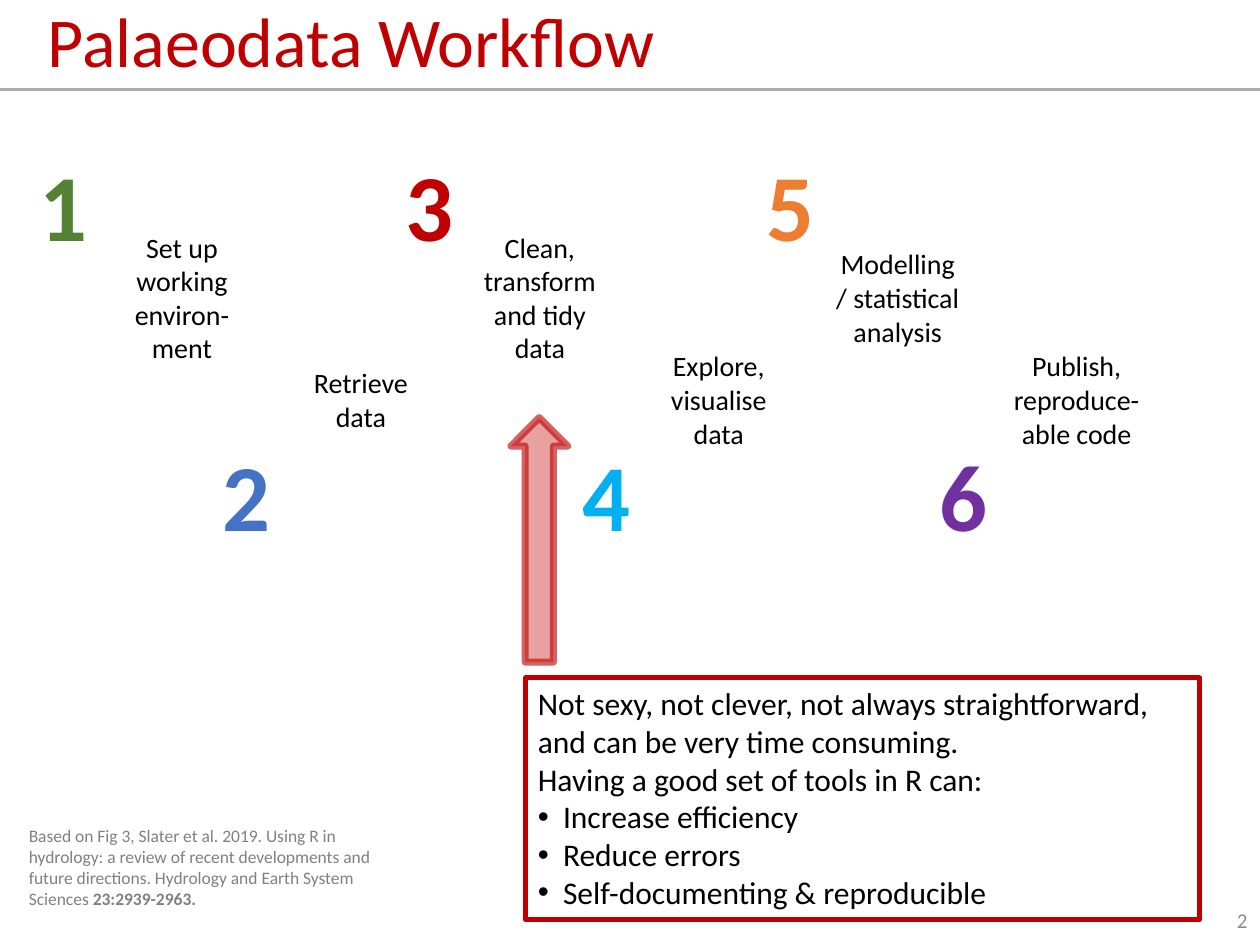
from dataclasses import dataclass
from typing import Any, NamedTuple

from lxml.etree import SubElement
from pptx import Presentation
from pptx.dml.color import RGBColor
from pptx.enum.shapes import MSO_CONNECTOR, MSO_SHAPE
from pptx.enum.text import MSO_ANCHOR as ANCHOR
from pptx.enum.text import MSO_AUTO_SIZE as AUTO
from pptx.enum.text import PP_ALIGN as ALIGN
from pptx.oxml.ns import qn
from pptx.util import Inches, Pt

SLIDE_W, SLIDE_H = Inches(10), Inches(7.5)
RED, BLACK, WHITE, GREY = "C00000", "000000", "FFFFFF", "808080"
HEX_LEFT, HEX_PITCH = 6.8, 14.2
HEX_TOPS, NUMBER_TOPS = (22.4, 33.2), (14.93, 45.6)


class Box(NamedTuple):
    """Left, top, width and height in percent of the slide."""
    left: float
    top: float
    width: float
    height: float

    def emu(self) -> list[int]:
        """Return the box in slide units."""
        return [round(v * side / 100) for v, side in zip(self, (SLIDE_W, SLIDE_H) * 2)]


@dataclass
class Step:
    """One workflow step: its label, number colour and number position."""
    label: str
    color: str
    number_left: float


@dataclass
class Para:
    """A paragraph of (text, bold) runs, bulleted or not."""
    runs: list[tuple[str, bool]]
    bullet: bool = False


STEPS = [
    Step("Set up working environ-ment", "548235", 2.1),
    Step("Retrieve data", "4472C4", 16.6),
    Step("Clean, transform and tidy data", RED, 31.1),
    Step("Explore, visualise data", "00B0F0", 45.2),
    Step("Modelling / statistical analysis", "ED7D31", 59.8),
    Step("Publish, reproduce-able code", "7030A0", 73.5),
]
CITATION = Para([
    ("Based on Fig 3, Slater et al. 2019. Using R in hydrology: a review of recent "
     "developments and future directions. Hydrology and Earth System Sciences ", False),
    ("23:2939-2963.", True),
])
MESSAGE = [
    Para([("Not sexy, not clever, not always straightforward, "
           "and can be very time consuming.", False)]),
    Para([("Having a good set of tools in R can:", False)]),
] + [Para([(text, False)], bullet=True) for text in
     ("Increase efficiency", "Reduce errors", "Self-documenting & reproducible")]


def rgb(value: str) -> RGBColor:
    """Turn a hex string into a colour."""
    return RGBColor.from_string(value)


def set_all(target: Any, values: dict[str, Any]) -> None:
    """Set every named attribute on the target."""
    for name, value in values.items():
        setattr(target, name, value)


def set_alpha(fill: Any, percent: int) -> None:
    """Make a solid fill partly transparent."""
    color = next(fill.iter(qn("a:srgbClr")))
    SubElement(color, qn("a:alpha"), val=str(percent * 1000))


def add_bullet(p: Any) -> None:
    """Give the paragraph a hanging bullet."""
    pPr = p._p.get_or_add_pPr()
    set_indent = {"marL": Inches(0.2), "indent": -Inches(0.2)}
    for name, value in set_indent.items():
        pPr.set(name, str(value))
    SubElement(pPr, qn("a:buFont"), typeface="Arial")
    SubElement(pPr, qn("a:buChar"), char="•")


def write(s: Any, paras: list[Para], size: float, color: str,
          align: ALIGN = ALIGN.LEFT, **frame: Any) -> None:
    """Fill a shape with formatted paragraphs."""
    tf = s.text_frame
    set_all(tf, {"word_wrap": True, "vertical_anchor": ANCHOR.TOP} | frame)
    for i, para in enumerate(paras):
        p = tf.paragraphs[0] if i == 0 else tf.add_paragraph()
        p.alignment = align
        if para.bullet:
            add_bullet(p)
        for text, bold in para.runs:
            r = p.add_run()
            r.text = text
            set_all(r.font, {"name": "Calibri", "size": Pt(size), "bold": bold})
            r.font.color.rgb = rgb(color)


def add_text(sp: Any, box: Box, paras: list[Para], size: float, color: str, **options: Any) -> Any:
    """Add a text box and return it."""
    s = sp.add_textbox(*box.emu())
    write(s, paras, size, color, **options)
    return s


def add_outlined(sp: Any, kind: MSO_SHAPE, box: Box, color: str, width: float) -> Any:
    """Add an unfilled preset shape with a coloured line."""
    s = sp.add_shape(kind, *box.emu())
    s.shadow.inherit = False
    s.fill.background()
    s.line.color.rgb = rgb(color)
    s.line.width = Pt(width)
    return s


def add_hexagon(sp: Any, column: int, step: Step) -> None:
    """Add a step's label in its hexagon."""
    box = Box(HEX_LEFT + HEX_PITCH * column, HEX_TOPS[column % 2], 15.3, 18.13)
    s = add_outlined(sp, MSO_SHAPE.HEXAGON, box, WHITE, 16.5)
    s.adjustments[0] = 0.29
    margins = {f"margin_{side}": 0 for side in ("left", "top", "right", "bottom")}
    write(s, [Para([(step.label, False)])], 16, BLACK, ALIGN.CENTER,
          vertical_anchor=ANCHOR.MIDDLE, **margins)


def add_number(sp: Any, column: int, step: Step) -> None:
    """Add a step's large outlined number."""
    box = Box(step.number_left, NUMBER_TOPS[column % 2], 5.9, 13.47)
    s = add_text(sp, box, [Para([(str(column + 1), True)])], 54, step.color,
                 align=ALIGN.CENTER, word_wrap=False, auto_size=AUTO.SHAPE_TO_FIT_TEXT)
    rPr = s.text_frame.paragraphs[0].runs[0].font._element
    set_alpha(rPr, 32)
    ln = SubElement(rPr, qn("a:ln"), w=str(Pt(1.75)))
    SubElement(SubElement(ln, qn("a:solidFill")), qn("a:srgbClr"), val=step.color)
    rPr.insert(0, ln)


def add_rule(sp: Any) -> None:
    """Add the line under the title."""
    y = round(SLIDE_H * 0.0947)
    s = sp.add_connector(MSO_CONNECTOR.STRAIGHT, 0, y, SLIDE_W, y)
    s.line.color.rgb = rgb("AFABAB")
    s.line.width = Pt(2)
    SubElement(s._element.spPr, qn("a:effectLst"))


def add_arrow(sp: Any) -> None:
    """Add the translucent arrow pointing up at step three."""
    s = add_outlined(sp, MSO_SHAPE.RIGHT_ARROW, Box(33.1, 54.13, 19.4, 6), RED, 4)
    s.rotation = 270
    set_alpha(s.line._ln, 62)
    s.fill.solid()
    s.fill.fore_color.rgb = rgb(RED)
    set_alpha(s._element.spPr.find(qn("a:solidFill")), 37)


def main() -> None:
    """Build the workflow slide."""
    prs = Presentation()
    set_all(prs, {"slide_width": SLIDE_W, "slide_height": SLIDE_H})
    sp = prs.slides.add_slide(prs.slide_layouts[6]).shapes

    add_rule(sp)
    title = add_text(sp, Box(2.8, 0, 97.2, 9.47), [Para([("Palaeodata Workflow", False)])],
                     40, RED, vertical_anchor=ANCHOR.MIDDLE)
    title.text_frame.paragraphs[0].line_spacing = 0.9
    for draw in (add_hexagon, add_number):
        for column, step in enumerate(STEPS):
            draw(sp, column, step)

    add_text(sp, Box(1.3, 86.67, 30.1, 10.27), [CITATION], 10, GREY,
             auto_size=AUTO.SHAPE_TO_FIT_TEXT)
    message = add_outlined(sp, MSO_SHAPE.RECTANGLE, Box(41.7, 71.73, 53.5, 25.6), RED, 2.75)
    write(message, MESSAGE, 18, BLACK, auto_size=AUTO.SHAPE_TO_FIT_TEXT)
    add_arrow(sp)
    add_text(sp, Box(77.5, 94.67, 22.5, 5.33), [Para([("2", False)])], 12, "8C8C8C",
             align=ALIGN.RIGHT, vertical_anchor=ANCHOR.MIDDLE)
    prs.save("out.pptx")


if __name__ == "__main__":
    main()
